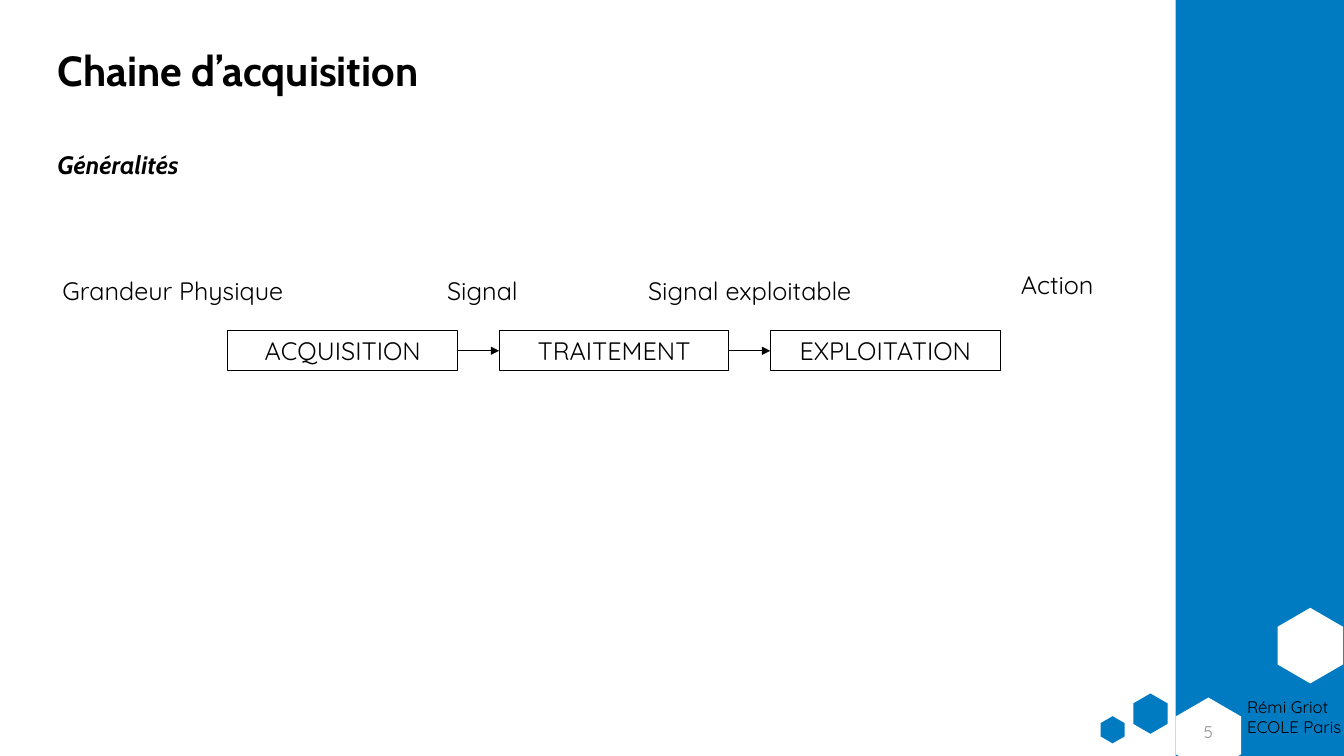
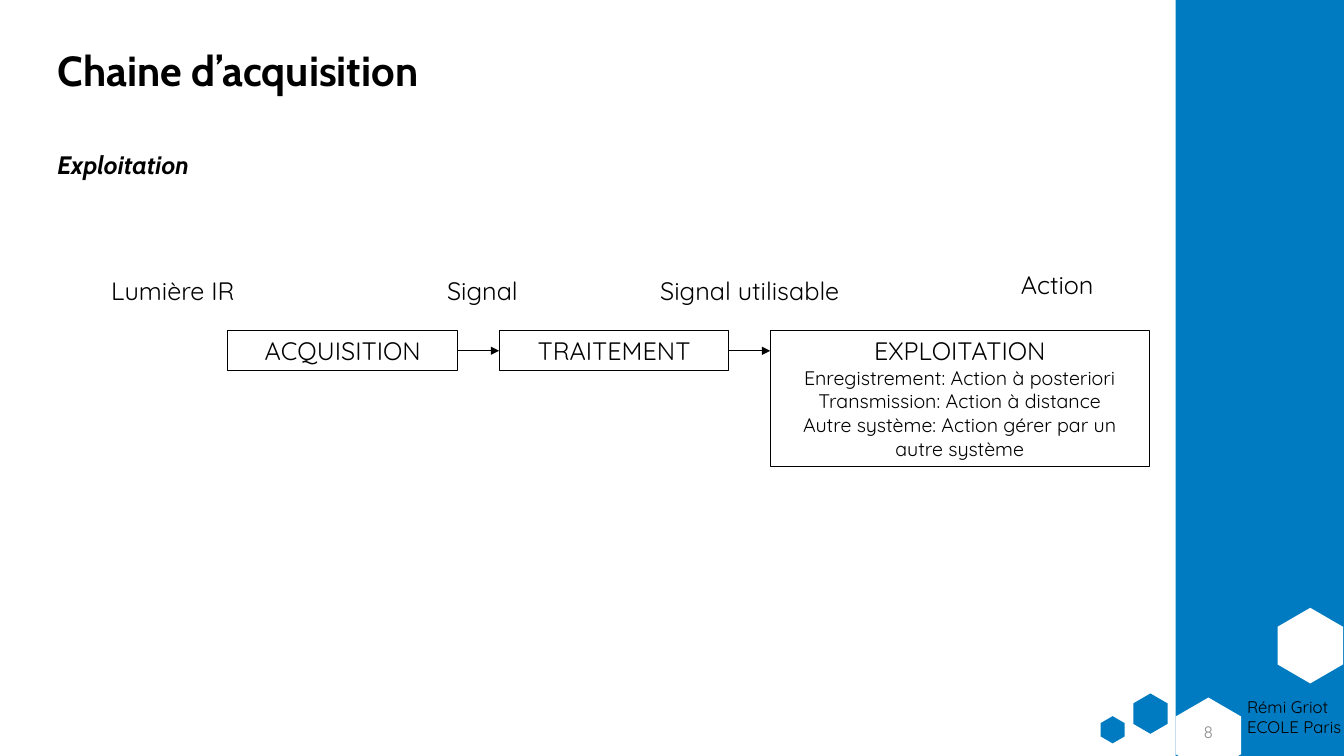
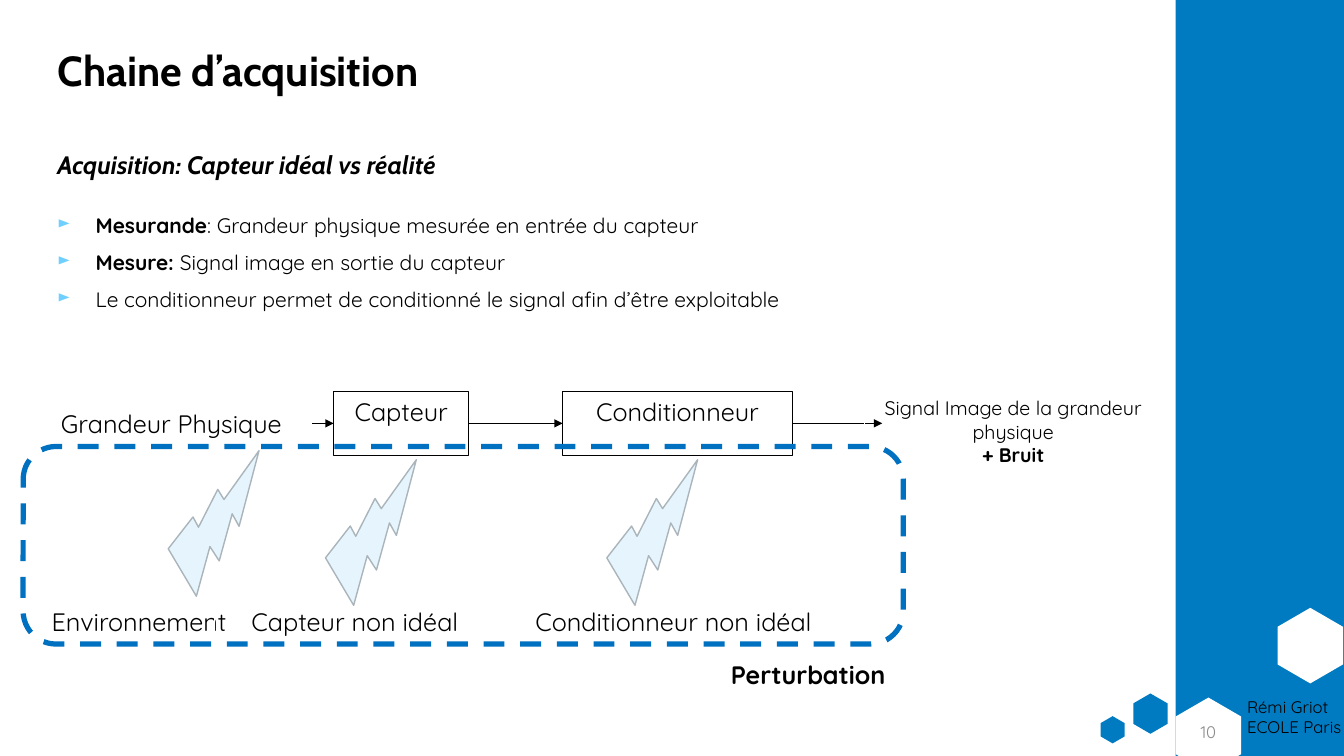
import dataclasses

import pptx
import pptx.dml.color
import pptx.enum.dml
import pptx.enum.shapes
import pptx.enum.text
import pptx.oxml.ns
import pptx.util
from lxml import etree

EMU_PER_PX = 9144
SHAPE = pptx.enum.shapes.MSO_SHAPE
ALIGN = pptx.enum.text.PP_ALIGN
ANCHOR = pptx.enum.text.MSO_ANCHOR


@dataclasses.dataclass(frozen=True)
class Theme:
    heading_font: str = "Cabin"
    body_font: str = "Quicksand"
    ink: str = "000000"
    paper: str = "FFFFFF"
    band: str = "007BC1"
    number: str = "8C8C8C"
    bullet: str = "6FCFFF"
    bolt: str = "E6F4FD"
    bolt_edge: str = "AAB5BB"
    frame: str = "0070C0"
    title: int = 30
    label: int = 18
    list_item: int = 15
    detail: int = 14
    footer: int = 12


THEME = Theme()


def px(length):
    return pptx.util.Emu(length * EMU_PER_PX)


def rgb(value):
    return pptx.dml.color.RGBColor.from_string(value)


def add_xml(parent, tag, **attributes):
    return etree.SubElement(parent, pptx.oxml.ns.qn(tag), attributes)


def add_bullet(paragraph, color, indent=38):
    properties = paragraph._p.get_or_add_pPr()
    properties.set("marL", str(px(indent)))
    properties.set("indent", str(-px(indent)))
    add_xml(add_xml(properties, "a:buClr"), "a:srgbClr", val=color)
    add_xml(properties, "a:buSzPct", val="80000")
    add_xml(properties, "a:buChar", char="►")


def write(frame, paragraphs, size=THEME.label, font=THEME.body_font, color=THEME.ink,
          bold=False, italic=False, align=ALIGN.LEFT, anchor=ANCHOR.TOP,
          spacing=None, before=None, bullet=None, wrap=True):
    frame.word_wrap = wrap
    frame.auto_size = pptx.enum.text.MSO_AUTO_SIZE.NONE
    frame.vertical_anchor = anchor
    if isinstance(paragraphs, str):
        paragraphs = [paragraphs]
    for index, runs in enumerate(paragraphs):
        paragraph = frame.add_paragraph() if index else frame.paragraphs[0]
        paragraph.alignment = align
        if spacing:
            paragraph.line_spacing = spacing
        if before:
            paragraph.space_before = pptx.util.Pt(before)
        if bullet:
            add_bullet(paragraph, bullet)
        for text, changes in [(runs, {})] if isinstance(runs, str) else runs:
            run = paragraph.add_run()
            run.text = text
            run.font.name = font
            run.font.size = pptx.util.Pt(changes.get("size", size))
            run.font.bold = changes.get("bold", bold)
            run.font.italic = italic
            run.font.color.rgb = rgb(color)


class Deck:
    def __init__(self, theme):
        self.theme = theme
        self.presentation = pptx.Presentation()
        self.presentation.slide_width = px(1333)
        self.presentation.slide_height = px(750)
        self.slide = None

    def start(self, title, subtitle, number):
        theme = self.theme
        self.slide = self.presentation.slides.add_slide(self.presentation.slide_layouts[5])
        self.decorate()
        heading = self.slide.shapes.title
        heading.left, heading.top, heading.width, heading.height = map(px, (47, 0, 1082, 145))
        write(heading.text_frame, title, size=theme.title, font=theme.heading_font,
              bold=True, anchor=ANCHOR.MIDDLE, spacing=0.9)
        self.text(subtitle, 47, 147, 877, 40, font=theme.heading_font, bold=True,
                  italic=True, spacing=0.9, before=10)
        self.text(number, 1166, 706, 65, 40, size=theme.footer, color=theme.number,
                  align=ALIGN.CENTER, anchor=ANCHOR.MIDDLE)

    def decorate(self):
        theme = self.theme
        self.shape(SHAPE.RECTANGLE, 1166, 0, 167, 750, fill=theme.band)
        for left, top, width, height, color in (
            (1262, 608, 75, 65, theme.paper),
            (1121, 691, 40, 34, theme.band),
            (1090, 712, 27, 24, theme.band),
            (1161, 697, 75, 65, theme.paper),
        ):
            hexagon = self.shape(SHAPE.HEXAGON, left, top, width, height, fill=color, rotation=90)
            hexagon.adjustments[0] = 0.29
        self.text(["Rémi Griot", "ECOLE Paris"], 1227, 686, 110, 50,
                  size=theme.footer, wrap=False)

    def shape(self, kind, left, top, width, height, fill=None, line=None, weight=0.75,
              dash=None, rotation=0):
        shape = self.slide.shapes.add_shape(kind, *map(px, (left, top, width, height)))
        shape.shadow.inherit = False
        shape.rotation = rotation
        if fill:
            shape.fill.solid()
            shape.fill.fore_color.rgb = rgb(fill)
        else:
            shape.fill.background()
        if line:
            shape.line.color.rgb = rgb(line)
            shape.line.width = pptx.util.Pt(weight)
            shape.line.dash_style = dash
        else:
            shape.line.fill.background()
        return shape

    def text(self, paragraphs, left, top, width, height, **style):
        box = self.slide.shapes.add_textbox(*map(px, (left, top, width, height)))
        write(box.text_frame, paragraphs, **style)

    def box(self, paragraphs, left, top, width, height, line=THEME.ink, **style):
        box = self.shape(SHAPE.RECTANGLE, left, top, width, height, line=line)
        write(box.text_frame, paragraphs, align=ALIGN.CENTER, **style)

    def arrow(self, start, end, y):
        arrow = self.slide.shapes.add_connector(
            pptx.enum.shapes.MSO_CONNECTOR.STRAIGHT, *map(px, (start, y, end, y)))
        arrow.line.color.rgb = rgb(self.theme.ink)
        arrow.line.width = pptx.util.Pt(0.5)
        add_xml(arrow.line._get_or_add_ln(), "a:tailEnd", type="triangle")
        add_xml(arrow._element.spPr, "a:effectLst")

    def bolt(self, left, top):
        self.shape(SHAPE.LIGHTNING_BOLT, left, top, 131, 106, fill=self.theme.bolt,
                   line=self.theme.bolt_edge, weight=1, rotation=259.7)


def draw_chain(deck, quantity, usable_signal, details=()):
    first, pitch, width, top, height = 226, 269, 228, 328, 40
    for index, stage in enumerate(("ACQUISITION", "TRAITEMENT")):
        left = first + index * pitch
        deck.box(stage, left, top, width, height)
        deck.arrow(left + width, left + pitch, top + height // 2)
    exploitation = ["EXPLOITATION"]
    exploitation += [[(detail, {"size": deck.theme.detail})] for detail in details]
    deck.box(exploitation, first + 2 * pitch, top,
             376 if details else width, 135 if details else height)
    for label, left, label_top, label_width in (
        (quantity, 20, 268, 303),
        ("Signal", 431, 268, 95),
        (usable_signal, 609, 268, 269),
        ("Action", 914, 262, 269),
    ):
        deck.text(label, left, label_top, label_width, 40, align=ALIGN.CENTER)


def draw_sensor(deck):
    theme = deck.theme
    bold = {"bold": True}
    deck.text([
        [("Mesurande", bold), (": Grandeur physique mesurée en entrée du capteur", {})],
        [("Mesure: ", bold), ("Signal image en sortie du capteur", {})],
        "Le conditionneur permet de conditionné le signal afin d’être exploitable",
    ], 47, 209, 1082, 120, size=theme.list_item, spacing=0.9, before=10, bullet=theme.bullet)

    deck.box("Capteur", 331, 388, 134, 64)
    deck.box("Conditionneur", 558, 388, 228, 64)
    for start, end in ((309, 331), (465, 558), (786, 875)):
        deck.arrow(start, end, 420)
    for label, left, top, width in (
        ("Grandeur Physique", 31, 400, 278),
        ("Environnement", 0, 597, 276),
        ("Capteur non idéal", 213, 597, 278),
        ("Conditionneur non idéal", 491, 597, 354),
    ):
        deck.box(label, left, top, width, 64, line=theme.paper)
    for left, top in ((151, 468), (307, 477), (586, 477)):
        deck.bolt(left, top)
    deck.box(["Signal Image de la grandeur physique", [("+ Bruit", bold)]],
             857, 388, 296, 81, line=theme.paper, size=theme.detail)
    deck.shape(SHAPE.ROUNDED_RECTANGLE, 23, 443, 873, 196, line=theme.frame, weight=3.75,
               dash=pptx.enum.dml.MSO_LINE.DASH)
    deck.text("Perturbation", 715, 649, 217, 40, bold=True)


def main():
    deck = Deck(THEME)
    title = "Chaine d’acquisition"

    deck.start(title, "Généralités", "5")
    draw_chain(deck, "Grandeur Physique", "Signal exploitable")

    deck.start(title, "Exploitation", "8")
    draw_chain(deck, "Lumière IR", "Signal utilisable", (
        "Enregistrement: Action à posteriori",
        "Transmission: Action à distance",
        "Autre système: Action gérer par un autre système",
    ))

    deck.start(title, "Acquisition: Capteur idéal vs réalité", "10")
    draw_sensor(deck)

    deck.presentation.save("out.pptx")


if __name__ == "__main__":
    main()
